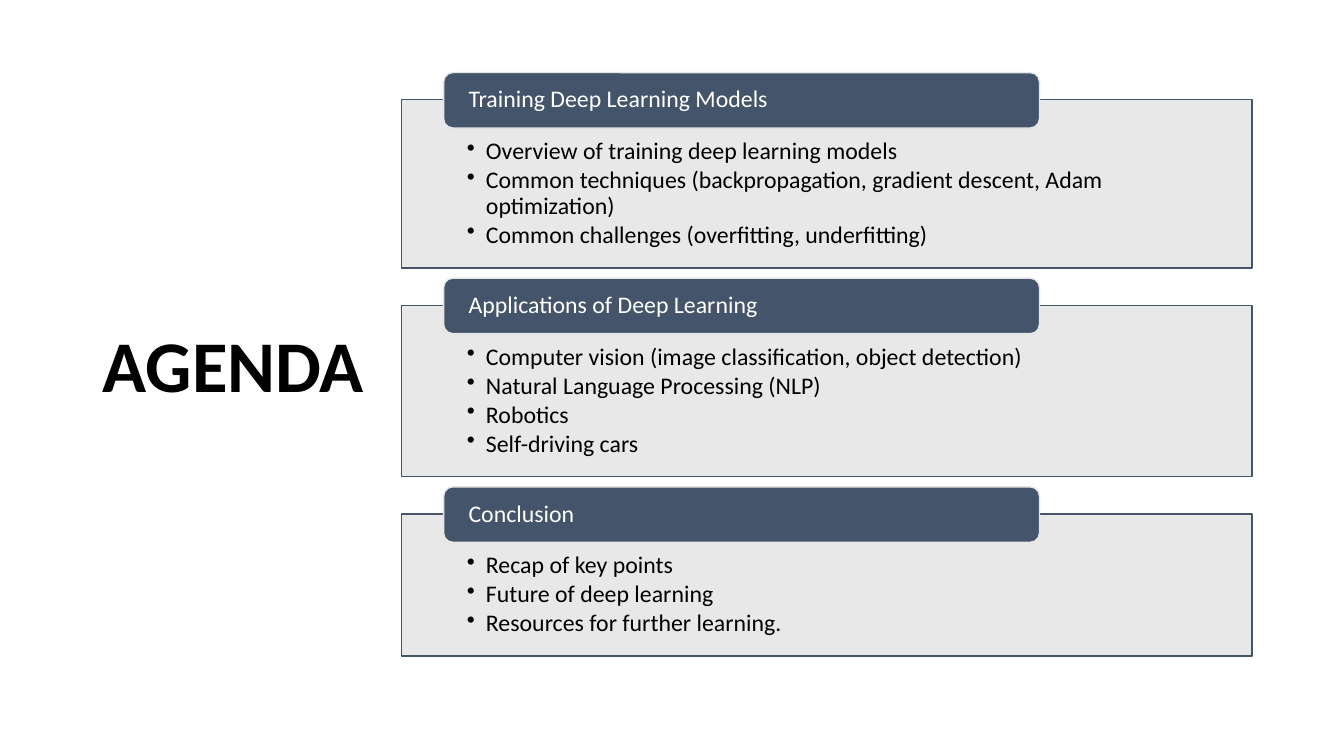
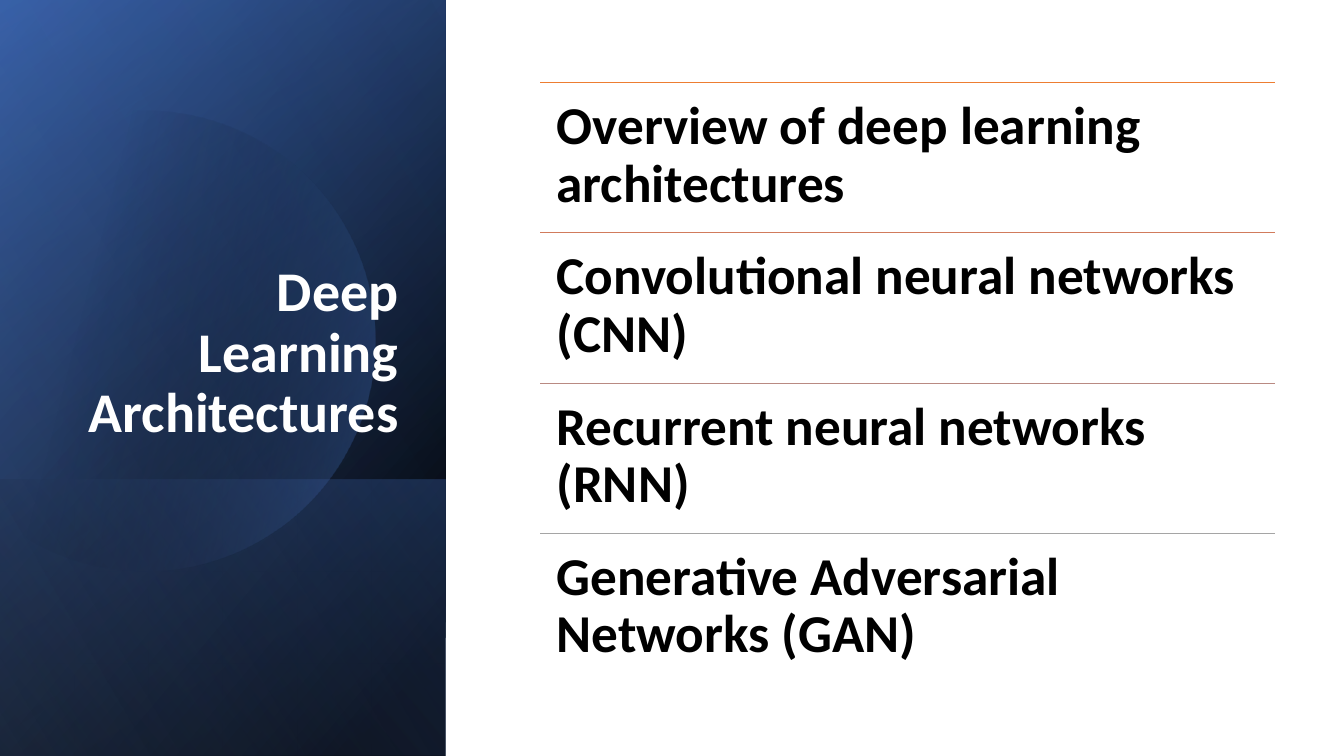
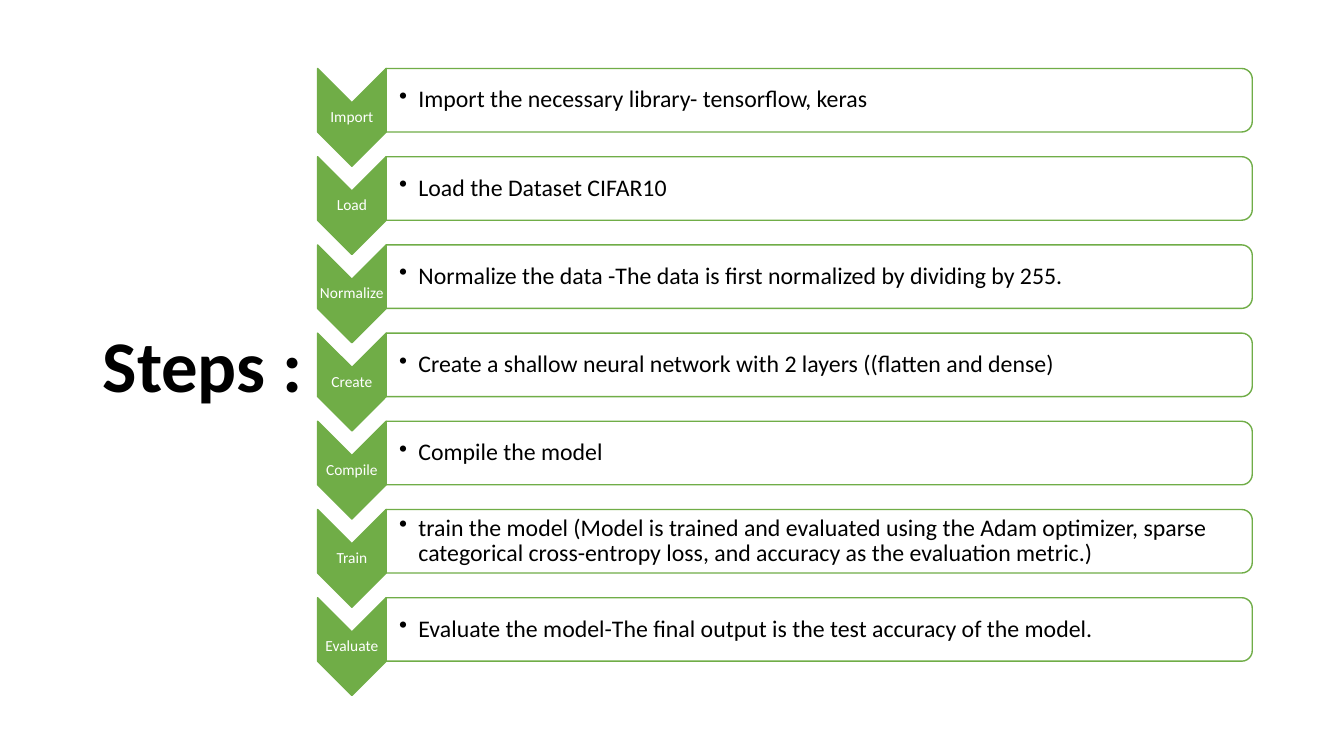
import math

import lxml.etree
import pptx
import pptx.dml.color
import pptx.enum.shapes
import pptx.enum.text
import pptx.oxml.ns
import pptx.util

Inches = pptx.util.Inches
Pt = pptx.util.Pt
SHAPE = pptx.enum.shapes.MSO_SHAPE
ANCHOR = pptx.enum.text.MSO_ANCHOR
ALIGN = pptx.enum.text.PP_ALIGN
qn = pptx.oxml.ns.qn

FONT = "Calibri"
COLOURS = {
    "black": "000000", "white": "FFFFFF", "slate": "44546A", "mist": "E7E6E6",
    "navy": "2F5597", "blue": "4472C4", "sky": "8FAADC", "green": "70AD47",
    "orange": "ED7D31", "clay": "D17B5C", "taupe": "B98A82", "grey": "A5A5A5",
}
TITLE_BOX = (0.92, 0.61, 3.69, 6.09)
TITLE_SIZE = 52
BODY_SIZE = 17

AGENDA = [
    ("Training Deep Learning Models", 1.67, [
        "Overview of training deep learning models",
        "Common techniques (backpropagation, gradient descent, Adam optimization)",
        "Common challenges (overfitting, underfitting)",
    ]),
    ("Applications of Deep Learning", 1.7, [
        "Computer vision (image classification, object detection)",
        "Natural Language Processing (NLP)",
        "Robotics",
        "Self-driving cars",
    ]),
    ("Conclusion", 1.41, [
        "Recap of key points",
        "Future of deep learning",
        "Resources for further learning.",
    ]),
]
ARCHITECTURES = [
    ("Overview of deep learning architectures", "orange"),
    ("Convolutional neural networks (CNN)", "clay"),
    ("Recurrent neural networks (RNN)", "taupe"),
    ("Generative Adversarial Networks (GAN)", "grey"),
]
STEPS = [
    ("Import", "Import the necessary library- tensorflow, keras"),
    ("Load", "Load the Dataset CIFAR10"),
    ("Normalize", "Normalize the data -The data is first normalized by dividing by 255."),
    ("Create", "Create a shallow neural network with 2 layers ((flatten and dense)"),
    ("Compile", "Compile the model"),
    ("Train", "train the model (Model is trained and evaluated using the Adam optimizer, "
              "sparse categorical cross-entropy loss, and accuracy as the evaluation metric.)"),
    ("Evaluate", "Evaluate the model-The final output is the test accuracy of the model."),
]


def rgb(name):
    return pptx.dml.color.RGBColor.from_string(COLOURS[name])


def set_alpha(colour, percent):
    alpha = lxml.etree.SubElement(colour, qn("a:alpha"))
    alpha.set("val", str(percent * 1000))


def add_bullet(para):
    properties = para._p.get_or_add_pPr()
    properties.set("marL", str(Inches(0.19)))
    properties.set("indent", str(-Inches(0.19)))
    lxml.etree.SubElement(properties, qn("a:buChar")).set("char", "•")


def write(shape, lines, size, colour="black", bold=False, align=ALIGN.LEFT,
          anchor=ANCHOR.MIDDLE, insets=(0.1, 0.05, 0.1, 0.05), bullets=False):
    frame = shape.text_frame
    frame.word_wrap = True
    frame.vertical_anchor = anchor
    (frame.margin_left, frame.margin_top,
     frame.margin_right, frame.margin_bottom) = map(Inches, insets)
    for index, line in enumerate(lines):
        para = frame.add_paragraph() if index else frame.paragraphs[0]
        para.alignment = align
        para.line_spacing = 0.9
        if bullets:
            para.space_after = Pt(2.3)
            add_bullet(para)
        span = para.add_run()
        span.text = line
        span.font.name = FONT
        span.font.size = Pt(size)
        span.font.bold = bold
        span.font.color.rgb = rgb(colour)


def add_text(page, box, lines, size, **style):
    shape = page.shapes.add_textbox(*map(Inches, box))
    write(shape, lines, size, **style)


def add_title(page, text):
    add_text(page, TITLE_BOX, [text], TITLE_SIZE, bold=True)


def add_box(page, kind, box, fill=None, line=None, alpha=None, turned=False):
    left, top, width, height = box
    if turned:
        left += (width - height) / 2
        top += (height - width) / 2
        width, height = height, width
    shape = page.shapes.add_shape(kind, *map(Inches, (left, top, width, height)))
    shape.shadow.inherit = False
    if turned:
        shape.rotation = 90
    if fill:
        shape.fill.solid()
        shape.fill.fore_color.rgb = rgb(fill)
        if alpha:
            set_alpha(shape.element.xpath("./p:spPr/a:solidFill/a:srgbClr")[0], alpha)
    if line:
        shape.line.color.rgb = rgb(line)
        shape.line.width = Pt(1)
    else:
        shape.line.fill.background()
    return shape


def paint_gradient(shape, stops, angle):
    shape.fill.gradient()
    shape.fill.gradient_angle = 360 - angle
    for stop, (position, colour, _) in zip(shape.fill.gradient_stops, stops):
        stop.position = position / 100
        stop.color.rgb = rgb(colour)
    colours = shape.element.xpath("./p:spPr/a:gradFill//a:srgbClr")
    for colour, (_, _, alpha) in zip(colours, stops):
        if alpha < 100:
            set_alpha(colour, alpha)


def add_gradient_panel(page, box, stops, angle):
    panel = add_box(page, SHAPE.RECTANGLE, box, turned=True)
    panel.element.spPr.find(qn("a:xfrm")).set("flipH", "1")
    paint_gradient(panel, stops, angle)


def add_cut_disc(page, centre_x, centre_y, radius, cut_x):
    reach = math.degrees(math.acos((cut_x - centre_x) / radius))
    steps = 120
    points = []
    for step in range(steps + 1):
        angle = math.radians(reach * (2 * step / steps - 1))
        points.append((Inches(centre_x + radius * math.cos(angle)),
                       Inches(centre_y + radius * math.sin(angle))))
    builder = page.shapes.build_freeform(*points[0])
    builder.add_line_segments(points[1:], close=True)
    disc = builder.convert_to_shape()
    disc.shadow.inherit = False
    disc.line.fill.background()
    paint_gradient(disc, [(29, "black", 0), (100, "blue", 43)], 14)


def add_side_panel(page, box):
    left, top, width, height = box
    foot_height = 2.74
    foot = (left, top + height - foot_height, width, foot_height)
    add_gradient_panel(page, box, [(8, "black", 100), (100, "navy", 100)], 50)
    add_gradient_panel(page, box, [(0, "black", 0), (99, "blue", 46)], 30)
    add_gradient_panel(page, foot, [(2, "blue", 29), (100, "black", 30)], 130)
    add_cut_disc(page, left + 1.44, top + 3.38, 2.28, left - 0.15)
    add_gradient_panel(page, box, [(0, "black", 0), (99, "sky", 11)], 120)
    add_text(page, (left + 0.64, top + 1.84, 3.41, 2.62), ["Deep Learning Architectures"],
             40, colour="white", bold=True, align=ALIGN.RIGHT, anchor=ANCHOR.BOTTOM)


def add_agenda_section(page, box, heading, bullets):
    left, top, _, _ = box
    body = add_box(page, SHAPE.RECTANGLE, box, "mist", "slate", alpha=90)
    write(body, bullets, BODY_SIZE, anchor=ANCHOR.TOP,
          insets=(0.65, 0.39, 0.65, 0.13), bullets=True)
    header = add_box(page, SHAPE.ROUNDED_RECTANGLE, (left + 0.42, top - 0.27, 5.91, 0.55),
                     "slate", "mist")
    write(header, [heading], BODY_SIZE, colour="white", insets=(0.22, 0, 0.22, 0))


def add_ruled_row(page, box, text, colour):
    left, top, width, _ = box
    rule = page.shapes.add_connector(
        pptx.enum.shapes.MSO_CONNECTOR.STRAIGHT,
        Inches(left), Inches(top), Inches(left + width), Inches(top))
    rule.line.color.rgb = rgb(colour)
    rule.line.width = Pt(0.5)
    lxml.etree.SubElement(rule.element.spPr, qn("a:effectLst"))
    add_text(page, box, [text], 38, bold=True, anchor=ANCHOR.TOP, insets=(0.16,) * 4)


def add_step(page, box, label, text):
    left, top, width, height = box
    arrow_width = 0.68
    bar_left = left + arrow_width
    bar_width = width - arrow_width
    add_box(page, SHAPE.CHEVRON, (left, top, arrow_width, height), "green", "green", turned=True)
    add_text(page, (left, top + 0.34, arrow_width, 0.29), [label], 11,
             colour="white", align=ALIGN.CENTER, insets=(0.01,) * 4)
    add_box(page, SHAPE.ROUND_2_SAME_RECTANGLE, (bar_left, top, bar_width, 0.63),
            "white", "green", alpha=90, turned=True)
    add_text(page, (bar_left, top + 0.03, bar_width - 0.03, 0.57), [text], BODY_SIZE,
             insets=(0.13, 0.01, 0.01, 0.01), bullets=True)


def build_agenda(page):
    add_title(page, "AGENDA")
    top = 0.99
    for heading, height, bullets in AGENDA:
        add_agenda_section(page, (3.98, top, 8.44, height), heading, bullets)
        top += height + 0.37


def build_architectures(page):
    add_side_panel(page, (0, 0, 4.42, 7.5))
    row_height = 1.49
    for index, (text, colour) in enumerate(ARCHITECTURES):
        add_ruled_row(page, (5.36, 0.82 + index * row_height, 7.29, row_height), text, colour)


def build_steps(page):
    add_title(page, "Steps :")
    pitch = 7 / 8
    for index, (label, text) in enumerate(STEPS):
        add_step(page, (3.15, 0.68 + index * pitch, 9.27, 0.97), label, text)


def main():
    deck = pptx.Presentation()
    deck.slide_width = Inches(13.33)
    deck.slide_height = Inches(7.5)
    for build in (build_agenda, build_architectures, build_steps):
        build(deck.slides.add_slide(deck.slide_layouts[6]))
    deck.save("out.pptx")


if __name__ == "__main__":
    main()
